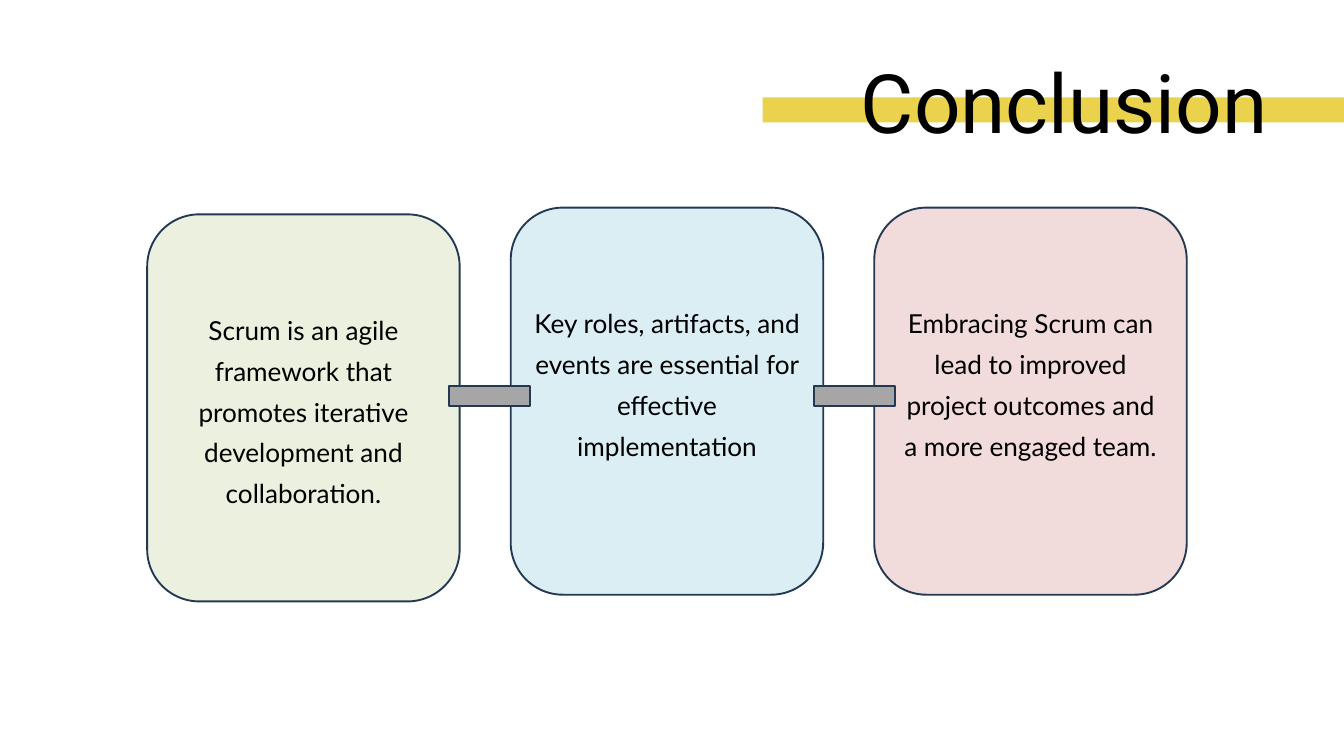
from pptx import Presentation
from pptx.dml.color import RGBColor
from pptx.enum.shapes import MSO_SHAPE
from pptx.enum.text import MSO_ANCHOR, MSO_AUTO_SIZE, PP_ALIGN
from pptx.util import Inches, Pt

RECT = MSO_SHAPE.RECTANGLE
ROUND = MSO_SHAPE.ROUNDED_RECTANGLE
MINUS = MSO_SHAPE.MATH_MINUS
TOP = MSO_ANCHOR.TOP
NO_FIT = MSO_AUTO_SIZE.NONE
CENTER, RIGHT = PP_ALIGN.CENTER, PP_ALIGN.RIGHT

BLACK, NAVY, GREY, YELLOW = "000000", "233953", "A6A6A6", "EBD24C"
CARD_W, CARD_H = 4.65, 5.76
STEP = 5.41
CARDS = [
    (3.19, "EBF1DE", "Scrum is an agile framework that promotes iterative "
                     "development and collaboration."),
    (3.09, "DBEEF4", "Key roles, artifacts, and events are essential for "
                     "effective implementation"),
    (3.09, "F2DCDB", "Embracing Scrum can lead to improved project outcomes "
                     "and a more engaged team."),
]


def color(code):
    return RGBColor.from_string(code)


def add_block(slide, kind, box, fill, line=None):
    block = slide.shapes.add_shape(kind, *map(Inches, box))
    block.shadow.inherit = False
    block.fill.solid()
    block.fill.fore_color.rgb = color(fill)
    if line:
        block.line.color.rgb = color(line)
        block.line.width = Pt(2)
    else:
        block.line.fill.background()
    return block


def set_text(shape, text, font, size, align, space):
    frame = shape.text_frame
    frame.text = text
    frame.word_wrap = True
    frame.auto_size = NO_FIT
    frame.vertical_anchor = TOP
    frame.margin_left = frame.margin_right = 0
    frame.margin_top = frame.margin_bottom = 0
    para = frame.paragraphs[0]
    para.alignment = align
    para.line_spacing = space
    para.space_before = Pt(0)
    run = para.runs[0].font
    run.name, run.size = font, Pt(size)
    run.color.rgb = color(BLACK)


def add_title(slide, left, top, text):
    """Title with its yellow bar behind, running to the slide edge."""
    title = slide.shapes.title
    title.left, title.top = Inches(left), Inches(top)
    title.width, title.height = Inches(10.76), Inches(2.07)
    set_text(title, text, "Roboto", 87.7, RIGHT, 1.4)
    bar = add_block(slide, RECT, (left + 3.24, top + 1.27, 8.65, 0.37), YELLOW)
    title._element.addprevious(bar._element)


def add_card(slide, left, top, fill, text):
    add_block(slide, ROUND, (left, top, CARD_W, CARD_H), fill, NAVY)
    box = slide.shapes.add_textbox(Inches(left + 0.35), Inches(top + 1.35),
                                   Inches(CARD_W - 0.7), Inches(3.06))
    set_text(box, text, "Lato", 28, CENTER, 1.3)


def add_cards(slide, left):
    for i, (top, fill, text) in enumerate(CARDS):
        add_card(slide, left + i * STEP, top, fill, text)
    for i in range(len(CARDS) - 1):
        link = left + 4.28 + i * 5.43
        add_block(slide, MINUS, (link, 5.27, 1.63, 1.24), GREY, NAVY)


def main():
    deck = Presentation()
    deck.slide_width, deck.slide_height = Inches(20), Inches(11.25)
    slide = deck.slides.add_slide(deck.slide_layouts[5])
    add_title(slide, 8.11, 0.18, "Conclusion")
    add_cards(slide, 2.19)
    deck.save("out.pptx")


if __name__ == "__main__":
    main()
